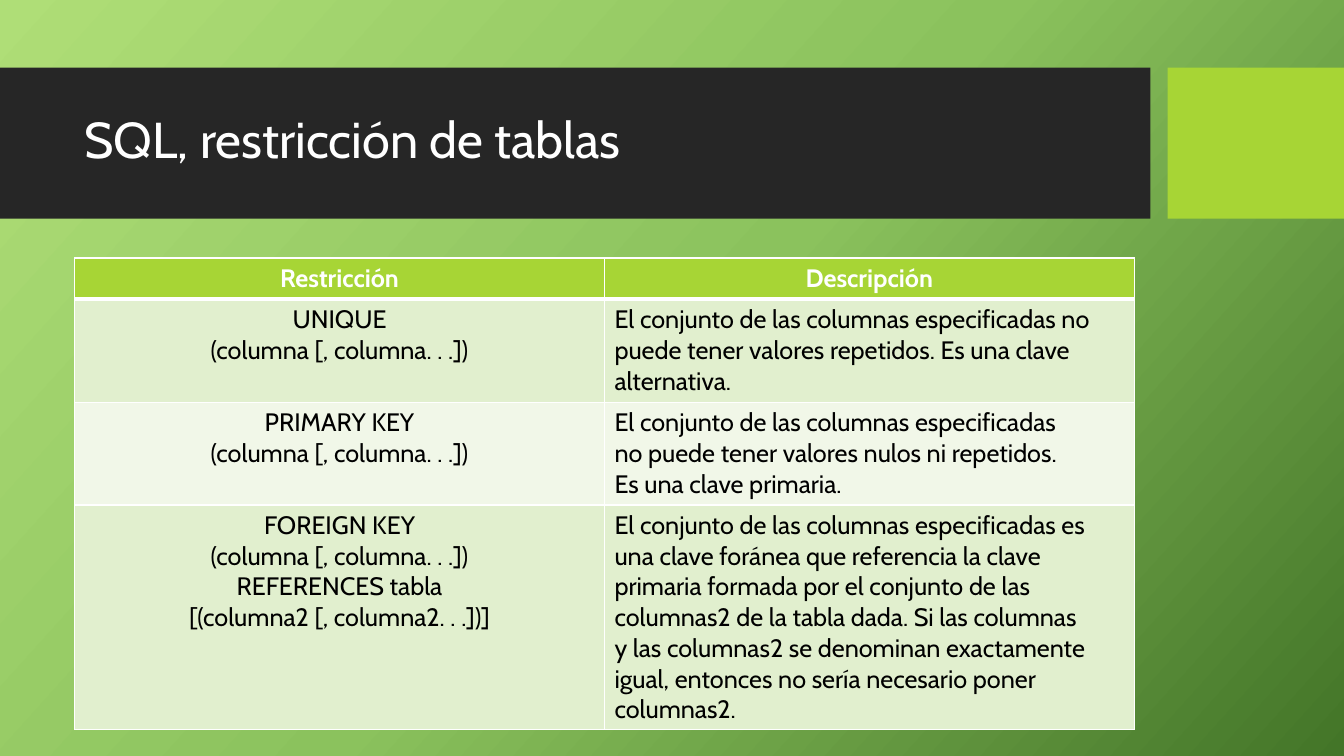
from copy import deepcopy

from lxml import etree
from pptx import Presentation
from pptx.dml.color import RGBColor
from pptx.enum.shapes import MSO_SHAPE
from pptx.enum.text import MSO_ANCHOR, PP_ALIGN
from pptx.oxml.ns import qn
from pptx.util import Inches, Pt

RECTANGLE = MSO_SHAPE.RECTANGLE
MIDDLE = MSO_ANCHOR.MIDDLE
LEFT, CENTER = PP_ALIGN.LEFT, PP_ALIGN.CENTER

FONT = "Cabin"
COLORS = {
    "white": "FFFFFF",
    "black": "000000",
    "band": "262626",
    "lime": "A7D535",
    "row_odd": "E1EFCE",
    "row_even": "F1F7E8",
}
GRADIENT = [(0, "AFDE77"), (0.5, "8BC25D"), (1, "437528")]

HEADINGS = ["Restricción", "Descripción"]
CONSTRAINTS = [
    (
        ["UNIQUE", "(columna [, columna. . .])"],
        [
            "El conjunto de las columnas especificadas no",
            "puede tener valores repetidos. Es una clave",
            "alternativa.",
        ],
    ),
    (
        ["PRIMARY KEY", "(columna [, columna. . .])"],
        [
            "El conjunto de las columnas especificadas",
            "no puede tener valores nulos ni repetidos.",
            "Es una clave primaria.",
        ],
    ),
    (
        [
            "FOREIGN KEY",
            "(columna [, columna. . .])",
            "REFERENCES tabla",
            "[(columna2 [, columna2. . .])]",
        ],
        [
            "El conjunto de las columnas especificadas es",
            "una clave foránea que referencia la clave",
            "primaria formada por el conjunto de las",
            "columnas2 de la tabla dada. Si las columnas",
            "y las columnas2 se denominan exactamente",
            "igual, entonces no sería necesario poner",
            "columnas2.",
        ],
    ),
]
ROW_HEIGHTS = [0.41, 1.02, 1.02, 2.23]


def color(name):
    return RGBColor.from_string(COLORS[name])


def paint_background(page):
    fill = page.background.fill
    fill.gradient()
    fill.gradient_angle = 360 - 42
    stop_list = next(page.element.iter(qn("a:gsLst")))
    stop_list.append(deepcopy(stop_list[-1]))
    for stop, (position, value) in zip(fill.gradient_stops, GRADIENT):
        stop.position = position
        stop.color.rgb = RGBColor.from_string(value)


def add_block(page, left, width, fill):
    block = page.shapes.add_shape(
        RECTANGLE, Inches(left), Inches(0.67), Inches(width), Inches(1.5)
    )
    block.shadow.inherit = False
    block.fill.solid()
    block.fill.fore_color.rgb = color(fill)
    block.line.fill.background()


def style_paragraph(para, size, ink, align=LEFT, bold=False):
    para.alignment = align
    para.font.name = FONT
    para.font.size = Pt(size)
    para.font.bold = bold
    para.font.color.rgb = color(ink)


def add_title(page, text):
    box = page.shapes.add_textbox(
        Inches(0.74), Inches(0.82), Inches(10.51), Inches(1.18)
    )
    frame = box.text_frame
    frame.word_wrap = True
    frame.vertical_anchor = MIDDLE
    para = frame.paragraphs[0]
    para.text = text
    para.line_spacing = 0.9
    style_paragraph(para, 36, "white")


def add_borders(cell, top, bottom):
    properties = cell._tc.get_or_add_tcPr()
    widths = {"a:lnL": 1, "a:lnR": 1, "a:lnT": top, "a:lnB": bottom}
    for index, (tag, width) in enumerate(widths.items()):
        line = etree.Element(qn(tag), w=str(Pt(width)))
        fill = etree.SubElement(line, qn("a:solidFill"))
        etree.SubElement(fill, qn("a:srgbClr"), val=COLORS["white"])
        properties.insert(index, line)


def fill_cell(cell, lines, fill, ink, align, bold=False, top=1, bottom=1):
    cell.fill.solid()
    cell.fill.fore_color.rgb = color(fill)
    add_borders(cell, top, bottom)
    cell.text_frame.text = "\n".join(lines)
    for para in cell.text_frame.paragraphs:
        style_paragraph(para, 18, ink, align, bold)


def add_constraint_table(page):
    table = page.shapes.add_table(
        len(ROW_HEIGHTS), len(HEADINGS),
        Inches(0.74), Inches(2.56), Inches(10.51), Inches(sum(ROW_HEIGHTS)),
    ).table
    for row, height in zip(table.rows, ROW_HEIGHTS):
        row.height = Inches(height)
    for column, heading in enumerate(HEADINGS):
        fill_cell(table.cell(0, column), [heading], "lime", "white", CENTER,
                  bold=True, bottom=3)
    for row, constraint in enumerate(CONSTRAINTS, start=1):
        fill = "row_odd" if row % 2 else "row_even"
        top = 3 if row == 1 else 1
        for column, align in enumerate((CENTER, LEFT)):
            fill_cell(table.cell(row, column), constraint[column], fill,
                      "black", align, top=top)


def main():
    deck = Presentation()
    deck.slide_width, deck.slide_height = Inches(13.33), Inches(7.5)
    page = deck.slides.add_slide(deck.slide_layouts[6])
    paint_background(page)
    add_block(page, 0, 11.41, "band")
    add_block(page, 11.58, 1.75, "lime")
    add_title(page, "SQL, restricción de tablas")
    add_constraint_table(page)
    deck.save("out.pptx")


if __name__ == "__main__":
    main()
